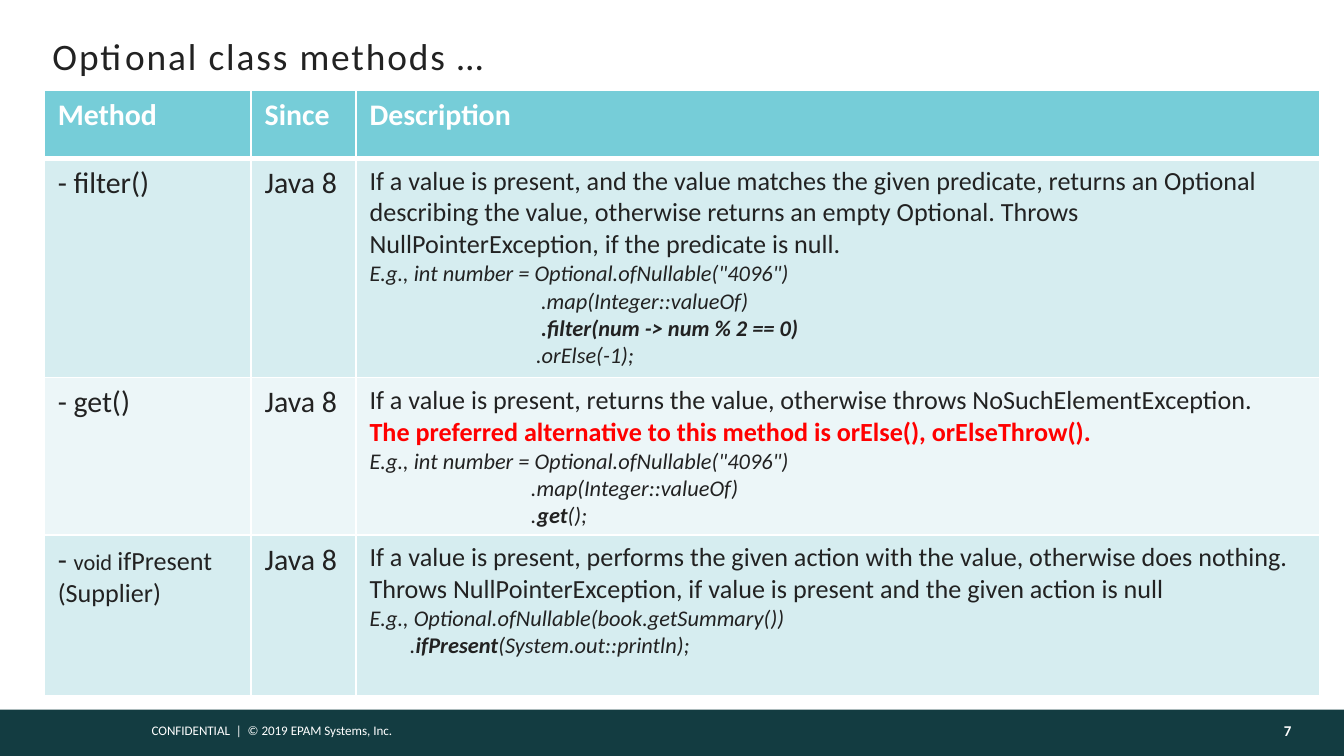
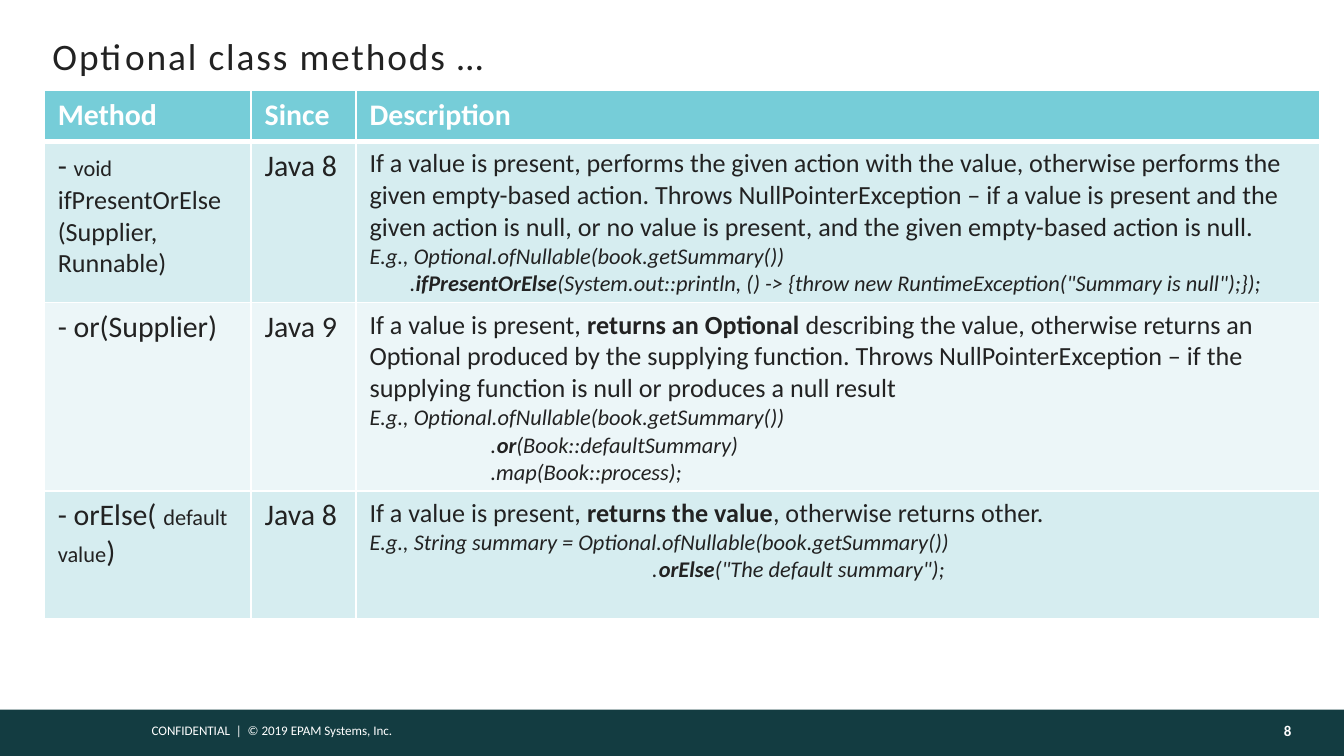
from copy import deepcopy

from lxml import etree
from pptx import Presentation
from pptx import util as u
from pptx.dml.color import RGBColor
from pptx.enum import shapes, text
from pptx.oxml import ns

FONT = "Calibri"
COLORS = {
    "ink": "222222",
    "white": "FFFFFF",
    "number": "FEFEFE",
    "alert": "FF0000",
    "footer": "133C41",
    "header": "76CDD8",
    "odd": "D6EDF0",
    "even": "ECF6F8",
}
STYLES = {
    "heading": dict(size=16, color_name="white", bold=True),
    "name": dict(size=16),
    "detail": dict(size=14),
    "small": dict(size=12),
    "alert": dict(size=14, color_name="alert", bold=True),
    "code": dict(size=12, italic=True),
}
COLUMN_WIDTHS = (1.54, 0.78, 7.17)
HEADINGS = ("Method", "Since", "Description")


def color(name):
    return RGBColor.from_string(COLORS[name])


def write(paragraph, content, size=16, color_name="ink", bold=False, italic=False, spacing=0):
    """Add content to a paragraph: ** switches bold on and off, a newline breaks the line."""
    for index, chunk in enumerate(content.split("**")):
        for line_index, line in enumerate(chunk.split("\n")):
            if line_index:
                paragraph.add_line_break()
                line_break = paragraph._p[-1]
                line_break.append(deepcopy(properties))
            if not line:
                continue
            run = paragraph.add_run()
            run.text = line
            font = run.font
            font.name, font.size = FONT, u.Pt(size)
            font.bold, font.italic = bold != bool(index % 2), italic
            font.color.rgb = color(color_name)
            properties = font._element
            if spacing:
                properties.set("spc", str(spacing * 100))


def border_cell(cell, top=1, bottom=1):
    """Draw white borders; widths are in points."""
    widths = {"lnL": 1, "lnR": 1, "lnT": top, "lnB": bottom}
    for index, (side, width) in enumerate(widths.items()):
        line = etree.Element(ns.qn(f"a:{side}"), w=str(u.Pt(width)))
        fill = etree.SubElement(line, ns.qn("a:solidFill"))
        etree.SubElement(fill, ns.qn("a:srgbClr"), val=COLORS["white"])
        cell._tc.get_or_add_tcPr().insert(index, line)


class Deck:
    def __init__(self):
        self.presentation = Presentation()
        self.presentation.slide_width = u.Inches(10)
        self.presentation.slide_height = u.Inches(10 * 9 / 16)
        self.slide = None

    def add_slide(self, title, number):
        self.slide = self.presentation.slides.add_slide(self.presentation.slide_layouts[6])
        self.add_band(0, 5.28, 10, 0.35)
        self.add_text("CONFIDENTIAL  |  © 2019 EPAM Systems, Inc.", 1.03, 5.33, 2.65, 0.22,
                      size=7, color_name="white")
        self.add_text(title, 0.39, 0.25, 9.22, 0.33, margins=(0, 0.05, 0, 0.05),
                      anchor=text.MSO_ANCHOR.MIDDLE, size=20, spacing=1)
        self.add_text(str(number), 8.11, 5.28, 1.5, 0.35, margins=(0.1, 0.05, 0, 0.09),
                      anchor=text.MSO_ANCHOR.MIDDLE, align=text.PP_ALIGN.RIGHT,
                      size=8, color_name="number", bold=True)

    def add_band(self, *box):
        shape = self.slide.shapes.add_shape(shapes.MSO_SHAPE.RECTANGLE, *map(u.Inches, box))
        shape.shadow.inherit = False
        shape.fill.solid()
        shape.fill.fore_color.rgb = color("footer")
        shape.line.fill.background()

    def add_text(self, content, *box, margins=(0.1, 0.05, 0.1, 0.05),
                 anchor=text.MSO_ANCHOR.TOP, align=text.PP_ALIGN.LEFT, **style):
        frame = self.slide.shapes.add_textbox(*map(u.Inches, box)).text_frame
        frame.word_wrap = True
        frame.vertical_anchor = anchor
        (frame.margin_left, frame.margin_top,
         frame.margin_right, frame.margin_bottom) = map(u.Inches, margins)
        paragraph = frame.paragraphs[0]
        paragraph.alignment = align
        write(paragraph, content, **style)

    def add_method_table(self, methods, row_heights):
        header = [[[("heading", heading)]] for heading in HEADINGS]
        rows = [header] + [[[name], [[("name", since)]], [[part] for part in description]]
                           for name, since, description in methods]
        box = map(u.Inches, (0.33, 0.67, sum(COLUMN_WIDTHS), sum(row_heights)))
        table = self.slide.shapes.add_table(len(rows), len(HEADINGS), *box).table
        for column, width in zip(table.columns, COLUMN_WIDTHS):
            column.width = u.Inches(width)
        for row, row_height in zip(table.rows, row_heights):
            row.height = u.Inches(row_height)
        for row_index, row in enumerate(rows):
            fill = "header" if row_index == 0 else ("even", "odd")[row_index % 2]
            for column_index, paragraphs in enumerate(row):
                cell = table.cell(row_index, column_index)
                self.fill_cell(cell, paragraphs, fill)
                border_cell(cell, top=3 if row_index == 1 else 1,
                            bottom=3 if row_index == 0 else 1)

    def fill_cell(self, cell, paragraphs, fill):
        cell.fill.solid()
        cell.fill.fore_color.rgb = color(fill)
        frame = cell.text_frame
        for index, runs in enumerate(paragraphs):
            paragraph = frame.add_paragraph() if index else frame.paragraphs[0]
            for style_name, content in runs:
                write(paragraph, content, **STYLES[style_name])


# Each method: runs of its name, version, paragraphs of its description.
FIRST_METHODS = [
    ([("name", "- filter()")], "Java 8", [
        ("detail", "If a value is present, and the value matches the given predicate, "
                   "returns an Optional describing the value, otherwise returns an empty "
                   "Optional. Throws NullPointerException, if the predicate is null."),
        ("code", """E.g., int number = Optional.ofNullable("4096")
                                  .map(Integer::valueOf)
**                                  .filter(num -> num % 2 == 0)
**                                 .orElse(-1);"""),
    ]),
    ([("name", "- get()")], "Java 8", [
        ("detail", "If a value is present, returns the value, otherwise throws "
                   "NoSuchElementException."),
        ("alert", "The preferred alternative to this method is orElse(), orElseThrow()."),
        ("code", """E.g., int number = Optional.ofNullable("4096")
                                .map(Integer::valueOf)
                                .**get**();"""),
    ]),
    ([("name", "- "), ("small", "void "), ("detail", "ifPresent (Supplier)")], "Java 8", [
        ("detail", "If a value is present, performs the given action with the value, "
                   "otherwise does nothing. Throws NullPointerException, if value is "
                   "present and the given action is null"),
        ("code", """E.g., Optional.ofNullable(book.getSummary())
        .**ifPresent**(System.out::println);"""),
    ]),
]
SECOND_METHODS = [
    ([("name", "- "), ("small", "void "),
      ("detail", "ifPresentOrElse (Supplier, Runnable)")], "Java 8", [
        ("detail", "If a value is present, performs the given action with the value, "
                   "otherwise performs the given empty-based action. Throws "
                   "NullPointerException – if a value is present and the given action is "
                   "null, or no value is present, and the given empty-based action is null."),
        ("code", """E.g., Optional.ofNullable(book.getSummary())
        .**ifPresentOrElse**(System.out::println, () -> """
                 """{throw new RuntimeException("Summary is null");});"""),
    ]),
    ([("name", "- or(Supplier)")], "Java 9", [
        ("detail", "If a value is present, **returns an Optional **describing the value, "
                   "otherwise returns an Optional produced by the supplying function. "
                   "Throws NullPointerException – if the supplying function is null or "
                   "produces a null result"),
        ("code", """E.g., Optional.ofNullable(book.getSummary())
                        .**or**(Book::defaultSummary)
                        .map(Book::process);"""),
    ]),
    ([("name", "- orElse( "), ("small", "default value"), ("name", ")")], "Java 8", [
        ("detail", "If a value is present, **returns the value**, otherwise returns other."),
        ("code", """E.g., String summary = Optional.ofNullable(book.getSummary())
                                                        .**orElse**("The default summary");"""),
    ]),
]


def main():
    deck = Deck()
    title = "Optional class methods …"
    deck.add_slide(title, 7)
    deck.add_method_table(FIRST_METHODS, (0.51, 1.63, 1.17, 1.2))
    deck.add_slide(title, 8)
    deck.add_method_table(SECOND_METHODS, (0.38, 1.2, 1.4, 0.95))
    deck.presentation.save("out.pptx")


if __name__ == "__main__":
    main()
